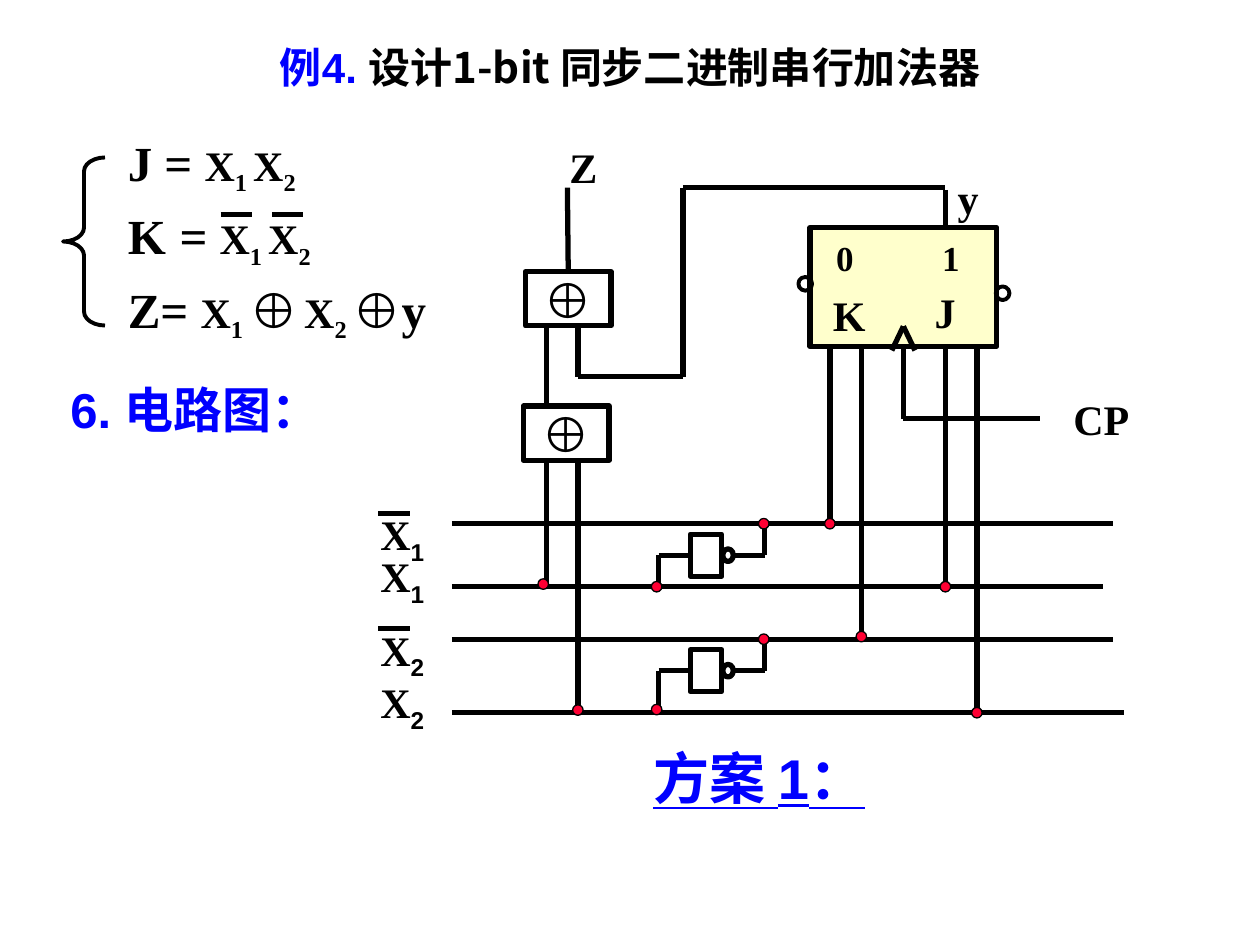
from dataclasses import dataclass
from itertools import pairwise

from lxml import etree
from pptx import Presentation
from pptx.dml.color import RGBColor
from pptx.enum.shapes import MSO_CONNECTOR, MSO_SHAPE
from pptx.enum.text import MSO_ANCHOR, MSO_AUTO_SIZE, PP_ALIGN
from pptx.oxml.ns import qn
from pptx.util import Inches, Pt

STRAIGHT = MSO_CONNECTOR.STRAIGHT
RECT, OVAL, BRACE = MSO_SHAPE.RECTANGLE, MSO_SHAPE.OVAL, MSO_SHAPE.LEFT_BRACE
TOP, MIDDLE = MSO_ANCHOR.TOP, MSO_ANCHOR.MIDDLE
GROW = MSO_AUTO_SIZE.SHAPE_TO_FIT_TEXT
CENTER = PP_ALIGN.CENTER
TOP_SIDE, LEFT_SIDE = 0, 1

COLORS = {"ink": "000000", "blue": "0000FF", "node": "FF0033", "chip": "FFFFCC"}
SERIF, SANS, CJK = "Times New Roman", "Arial", "Noto Sans CJK SC"
UNIT = 1 / 12  # one grid column or row, in inches


@dataclass
class Grid:
    """A region of the slide, measured in columns and rows from its corner."""
    slide: object
    left: float
    top: float

    def at(self, col, row):
        return Inches(self.left + col * UNIT), Inches(self.top + row * UNIT)

    def sub(self, col, row):
        return Grid(self.slide, self.left + col * UNIT, self.top + row * UNIT)

    def wire(self, *points):
        """Joins the points with straight lines and returns the last one."""
        for start, end in pairwise(points):
            line = self.slide.shapes.add_connector(STRAIGHT, *self.at(*start), *self.at(*end))
            line.line.color.rgb = rgb("ink")
            line.line.width = Pt(3)
            etree.SubElement(line._element.spPr, qn("a:effectLst"))
        return line

    def shape(self, kind, col, row, cols, rows, weight=3, fill=None):
        part = self.slide.shapes.add_shape(
            kind, *self.at(col, row), Inches(cols * UNIT), Inches(rows * UNIT))
        part.shadow.inherit = False
        if fill:
            part.fill.solid()
            part.fill.fore_color.rgb = rgb(fill)
        else:
            part.fill.background()
        part.line.color.rgb = rgb("ink")
        part.line.width = Pt(weight)
        return part

    def node(self, col, row):
        self.shape(OVAL, col - 0.5, row - 0.5, 1, 1, 0.75, "node")

    def text(self, col, row, cols, runs, size=24, font=SERIF, color="ink", rows=6):
        box = self.slide.shapes.add_textbox(
            *self.at(col, row), Inches(cols * UNIT), Inches(rows * UNIT))
        box.text_frame.word_wrap = True
        box.text_frame.auto_size = GROW
        paragraph = box.text_frame.paragraphs[0]
        write(paragraph, runs, size, font, color)
        return paragraph


def rgb(name):
    return RGBColor.from_string(COLORS[name])


def write(paragraph, runs, size, font, color):
    """Each run is plain text or (text, size, is_subscript, font)."""
    for item in [runs] if isinstance(runs, str) else runs:
        run = paragraph.add_run()
        if isinstance(item, str):
            run.text = item
            continue
        run.text, run_size, subscript, run_font = item
        run.font.size = Pt(run_size)
        if run_font:
            run.font.name = run_font
        if subscript:
            run._r.get_or_add_rPr().set("baseline", "-25000")
    paragraph.font.size = Pt(size)
    paragraph.font.name = font
    paragraph.font.bold = True
    paragraph.font.color.rgb = rgb(color)


def x_term(index, font=None):
    return [("X", 24, False, None), (index, 24, True, font)]


def heading(slide):
    title = slide.shapes.title
    title.left, title.top, title.width, title.height = map(Inches, (1.22, 0.28, 7.56, 0.51))
    frame = title.text_frame
    frame.word_wrap, frame.auto_size, frame.vertical_anchor = True, GROW, TOP
    paragraph = frame.paragraphs[0]
    paragraph.alignment = CENTER
    for words, font, color in (("例4. ", SANS, "blue"),
                               ("设计1-bit 同步二进制串行加法器", CJK, "ink")):
        run = paragraph.add_run()
        run.text = words
        run.font.name = font
        run.font.color.rgb = rgb(color)
    paragraph.font.size = Pt(24)
    paragraph.font.bold = True


def equations(grid):
    brace = grid.shape(BRACE, 0, 3, 4, 16, 2.25)
    brace.adjustments[0] = 0.33
    xor, xor_y = ("⊕", 28, False, None), ("⊕y", 28, False, None)
    product = [*x_term("1 "), *x_term("2")]
    rows = (("J = ", product, 23),
            ("K\t= ", product, 27),
            ("Z= ", [*x_term("1 "), xor, (" ", 24, True, None), *x_term("2 "), xor_y], 34))
    for index, (output, terms, cols) in enumerate(rows):
        paragraph = grid.text(5, 7 * index, cols, [], 28, rows=6.8)
        if "\t" in output:
            stops = etree.SubElement(paragraph._p.get_or_add_pPr(), qn("a:tabLst"))
            etree.SubElement(stops, qn("a:tab"), pos=str(Inches(0.41)), algn="l")
            paragraph._p.pPr.insert(0, stops)
        write(paragraph, [output, *terms], 28, SERIF, "ink")
    for col in (15, 19.9):  # bars over X1 and X2 in K
        grid.wire((col, 8.45), (col + 3, 8.45))


def rails(grid):
    # index, is_inverted, rail row, rail end, label row
    for index, inverted, row, end, label in (("1", True, 38, 71, 36), ("1", False, 44, 70, 40),
                                             ("2", True, 49, 71, 47), ("2", False, 56, 72, 52)):
        grid.wire((8, row), (end, row))
        grid.text(0, label, 9, x_term(index, SANS))
        if inverted:
            grid.wire((1, label + 1), (4, label + 1))


def inverter(grid, drop):
    """Origin is the input corner; drop is the depth of the rail below it."""
    gate = grid.shape(RECT, 3, -2, 3, 4)
    grid.shape(OVAL, 6.1, -0.6, 1, 1.2)
    grid.wire((0, drop), (0, 0), (3, 0)).end_connect(gate, LEFT_SIDE)
    grid.wire((7.1, 0), (10.1, 0), (10.1, -3))
    grid.node(10, -3)
    grid.node(-0.2, drop)


def xor_gate(grid, col, row):
    gate = grid.shape(RECT, col, row, 8.16, 5.16)
    frame = gate.text_frame
    frame.word_wrap, frame.vertical_anchor = False, MIDDLE
    frame.paragraphs[0].alignment = CENTER
    write(frame.paragraphs[0], "⊕", 28, SERIF, "ink")
    return gate


def sum_logic(grid):
    sum_gate = xor_gate(grid, 15, 14)
    xor_gate(grid, 14.8, 26.8)
    grid.wire((19, 6), (19, 14)).end_connect(sum_gate, TOP_SIDE)
    grid.text(18, 1, 7, "Z")
    grid.wire((17, 19), (17, 27))
    grid.wire((17, 32), (17, 44))
    grid.wire((20, 32), (20, 56))
    grid.node(16.7, 43.75)
    grid.node(20, 55.75)
    # Feedback of y into the sum gate
    grid.wire((20, 19), (20, 24), (30, 24), (30, 6), (55, 6))
    grid.text(55, 4, 7, "y")


def flip_flop(grid):
    chip = grid.shape(RECT, 42.1, 9.8, 17.8, 11.3, fill="chip")
    grid.wire((55, 6.2), (55, 9.8))
    for label, col, row, cols, size in (("0", 43.4, 10.1, 10, 20), ("1", 53.5, 10.1, 5.8, 20),
                                        ("K", 43.1, 15.1, 8, 24), ("J", 52.8, 14.8, 8, 24)):
        grid.text(col, row, cols, label, size)
    for col, row in ((41, 14.5), (59.8, 15.4)):
        grid.shape(OVAL, col, row, 1.3, 1.3, 2.25)
    # Clock input
    grid.wire((49.9, 21.5), (51, 19.2), (52.1, 21.5))
    grid.wire((51, 21), (51, 28), (64, 28))
    grid.text(66, 25, 12, "CP")
    # K and J inputs down to the rails
    for col, row in ((44, 38), (47, 49), (55, 44), (58, 56)):
        grid.wire((col, row), (col, 21))
        grid.node(col, 48.75 if row == 49 else row)


def captions(grid):
    grid.text(0, 0, 44.5, "6. 电路图：", 28, SANS, "blue", 6.8)
    scheme = grid.text(55.5, 34.7, 40, "方案 1：", 32, SANS, "blue", 7.6)
    scheme.font.underline = True


def main():
    deck = Presentation()
    deck.slide_width, deck.slide_height = Inches(10), Inches(7.5)
    slide = deck.slides.add_slide(deck.slide_layouts[5])
    heading(slide)
    equations(Grid(slide, 0.5, 1))
    circuit = Grid(slide, 2.92, 0.99)
    rails(circuit)
    inverter(circuit.sub(27.7, 41), 3)
    inverter(circuit.sub(27.7, 52), 3.7)
    sum_logic(circuit)
    flip_flop(circuit)
    captions(Grid(slide, 0.46, 2.96))
    deck.save("out.pptx")


if __name__ == "__main__":
    main()
